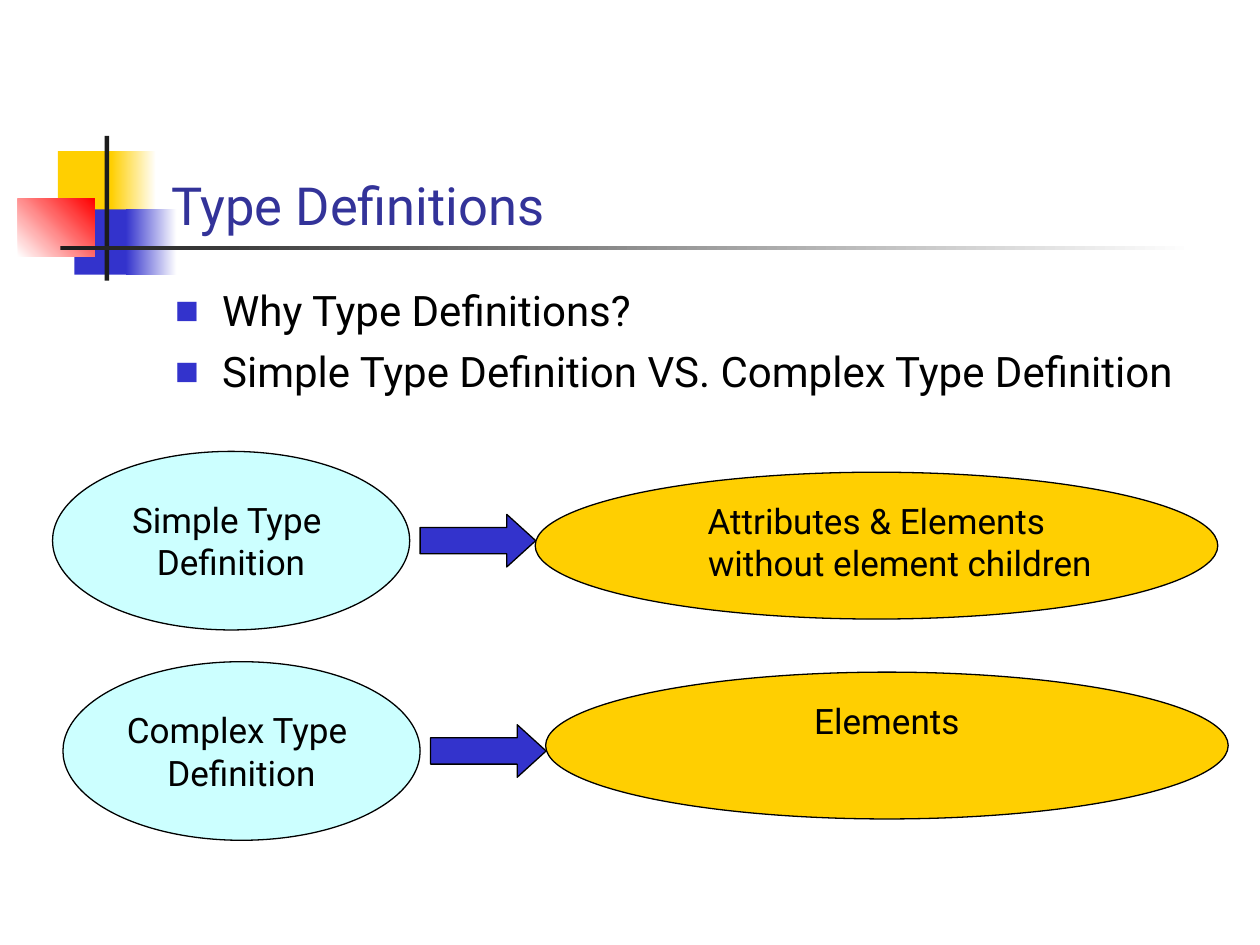
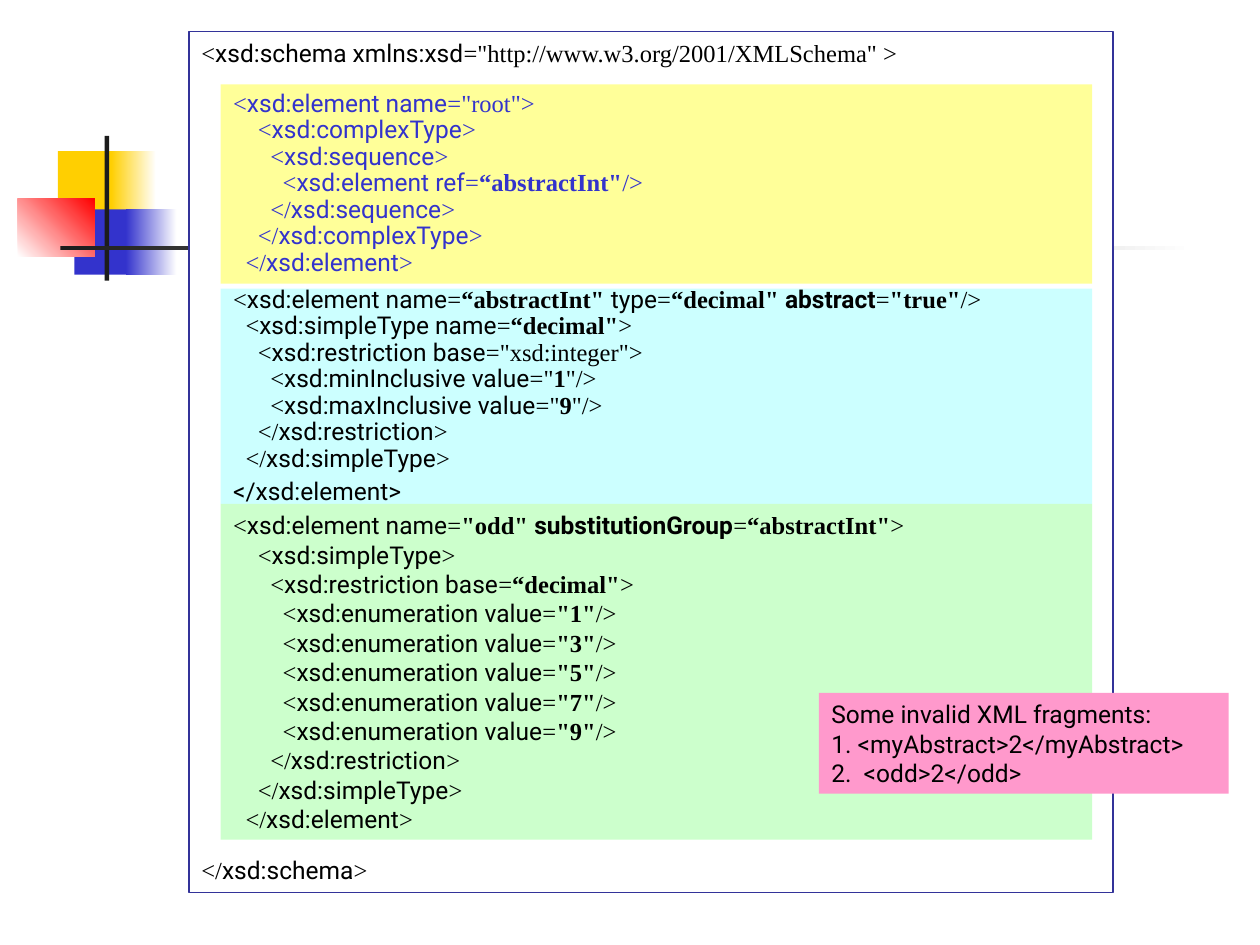
from lxml.etree import SubElement as Sub
from pptx import Presentation
from pptx.dml.color import RGBColor as RGB
from pptx.enum.shapes import MSO_SHAPE as Kind
from pptx.enum.text import MSO_ANCHOR as Anchor, PP_ALIGN as Align
from pptx.oxml.ns import qn
from pptx.util import Cm, Pt

WHITE = RGB(0xFF, 0xFF, 0xFF)
BLACK = RGB(0x00, 0x00, 0x00)
INK = RGB(0x1C, 0x1C, 0x1C)
NAVY = RGB(0x33, 0x33, 0x99)
BLUE = RGB(0x33, 0x33, 0xCC)
GOLD = RGB(0xFF, 0xCF, 0x01)
RED = RGB(0xFF, 0x00, 0x00)
AQUA = RGB(0xCC, 0xFF, 0xFF)
CREAM = RGB(0xFF, 0xFF, 0x99)
MINT = RGB(0xCC, 0xFF, 0xCC)
PINK = RGB(0xFF, 0x99, 0xCC)

SANS, SERIF = "Roboto", "Times New Roman"
HANG = Cm(0.95)
STEP = 0.25  # indent of one code level

# Code lines: (level, text); ` toggles the sans font, * toggles bold
OUTER = [
    (0, '<`xsd:schema xmlns:xsd`="http://www.w3.org/2001/XMLSchema" >'),
    (0, "</`xsd:schema`>"),
]
ROOT = [
    (0, '<`xsd:element name`="root">'),
    (2, "<`xsd:complexType`>"),
    (3, "<`xsd:sequence`>"),
    (4, '<`xsd:element ref`=*“abstractInt"*/>'),
    (3, "</`xsd:sequence`>"),
    (2, "</`xsd:complexType`>"),
    (1, "</`xsd:element`>"),
]
BASE = [
    (0, '<`xsd:element name`=*“abstractInt" *`type`=*“decimal" *`*abstract*`=*"true"*/>'),
    (1, '<`xsd:simpleType name`=*“decimal"*>'),
    (2, '<`xsd:restriction base`="xsd:integer">'),
    (3, '<`xsd:minInclusive value`="*1*"/>'),
    (3, '<`xsd:maxInclusive value`="*9*"/>'),
    (2, "</`xsd:restriction`>"),
    (1, "</`xsd:simpleType`>"),
    (0, "`</xsd:element>`"),
]
ODD = [
    (0, '<`xsd:element name`=*"odd" *`*substitutionGroup*`=*“abstractInt"*>'),
    (2, "<`xsd:simpleType`>"),
    (3, '<`xsd:restriction base`=*“decimal"*>'),
    *[(4, f'<`xsd:enumeration value`=*"{n}"*/>') for n in range(1, 10, 2)],
    (3, "</`xsd:restriction`>"),
    (2, "</`xsd:simpleType`>"),
    (1, "</`xsd:element`>"),
]


# Shared helpers
def add_form(slide, kind, box, fill, line=None):
    form = slide.shapes.add_shape(kind, *map(Cm, box))
    form.shadow.inherit = False
    form.fill.solid()
    form.fill.fore_color.rgb = fill
    if line is None:
        form.line.fill.background()
    else:
        form.line.color.rgb = line
        form.line.width = Pt(0.75)
    return form


def add_fade(slide, box, start, end, angle=0):
    fill = add_form(slide, Kind.RECTANGLE, box, start).fill
    fill.gradient()
    fill.gradient_angle = angle
    for stop, tone in zip(fill.gradient_stops, (start, end)):
        stop.color.rgb = tone


def style(run, size, tone=BLACK, face=SANS, bold=False):
    font = run.font
    font.size, font.name, font.bold = Pt(size), face, bold
    font.color.rgb = tone


def write(shape, text, size, tone=BLACK, align=Align.LEFT,
          anchor=Anchor.TOP, wrap=True):
    frame = shape.text_frame
    frame.word_wrap, frame.vertical_anchor = wrap, anchor
    frame.text = text
    for para in frame.paragraphs:
        para.alignment = align
        for run in para.runs:
            style(run, size, tone)
    return frame.paragraphs


def hang(para):
    props = para._p.get_or_add_pPr()
    props.set("marL", str(HANG))
    props.set("indent", str(-HANG))
    return props


def write_code(shape, lines, tone=BLACK, anchor=Anchor.TOP, pitch=None):
    frame = shape.text_frame
    frame.word_wrap, frame.vertical_anchor = True, anchor
    for i, (level, text) in enumerate(lines):
        para = frame.add_paragraph() if i else frame.paragraphs[0]
        para.alignment = Align.LEFT
        para.line_spacing = pitch
        para.space_before = Pt(0 if level else 3.5)
        para._p.get_or_add_pPr().set("marL", str(Cm(level * STEP)))
        for j, part in enumerate(text.split("`")):
            for k, bit in enumerate(part.split("*")):
                if bit:
                    run = para.add_run()
                    run.text = bit
                    style(run, 14, tone, SANS if j % 2 else SERIF, k % 2 == 1)
    return frame.paragraphs


# Corner squares and crossing bars, on every slide
def add_motif(slide, left, top):
    def at(x, y, w, h):
        return left + x, top + y, w, h

    add_form(slide, Kind.RECTANGLE, at(0.81, 0.31, 1.22, 1.32), GOLD)
    add_fade(slide, at(1.88, 0.31, 0.91, 1.32), GOLD, WHITE)
    add_form(slide, Kind.RECTANGLE, at(1.14, 1.48, 1.17, 1.32), BLUE)
    add_fade(slide, at(2.18, 1.48, 1.02, 1.32), BLUE, WHITE)
    add_fade(slide, at(0, 1.27, 1.55, 1.17), WHITE, RED, 45)
    add_form(slide, Kind.RECTANGLE, at(1.75, 0, 0.09, 2.92), INK)
    add_fade(slide, at(0.86, 2.21, 22.86, 0.09), INK, WHITE)


def add_title(slide, box, text):
    area = slide.shapes.add_textbox(*map(Cm, box))
    write(area, text, 30, NAVY, anchor=Anchor.BOTTOM)


def add_list(slide, box, items):
    area = slide.shapes.add_textbox(*map(Cm, box))
    for para in write(area, "\n".join(items), 24):
        para.space_before = Pt(6)
        props = hang(para)
        Sub(Sub(props, qn("a:buClr")), qn("a:srgbClr"), val=str(BLUE))
        Sub(props, qn("a:buSzPct"), val="60000")
        Sub(props, qn("a:buFont"), typeface=SANS)
        Sub(props, qn("a:buChar"), char="■")


# One row: kind of definition, arrow, what it applies to
def add_row(slide, left, top, drop, name, use):
    oval = add_form(slide, Kind.OVAL, (left, top, 7.2, 3.6), AQUA, BLACK)
    write(oval, name, 20, align=Align.CENTER, anchor=Anchor.MIDDLE, wrap=False)
    goal = add_form(slide, Kind.OVAL, (left + 9.73, top + drop, 13.76, 2.96),
                    GOLD, BLACK)
    hang(write(goal, use, 20, align=Align.CENTER)[0])
    arrow = add_form(slide, Kind.RIGHT_ARROW,
                     (left + 7.41, top + 1.27, 2.33, 1.06), BLUE, BLACK)
    arrow.adjustments[1] = 0.55


# Framed schema with one coloured band per part
def add_schema(slide, left, top, width, height):
    frame = add_form(slide, Kind.RECTANGLE, (left, top, width, height),
                     WHITE, NAVY)
    write_code(frame, OUTER)[-1].space_before = Pt(450)
    bands = [
        (1.06, 4.02, CREAM, ROOT, BLUE, Anchor.MIDDLE, 0.9),
        (5.18, 4.34, AQUA, BASE, BLACK, Anchor.MIDDLE, 0.9),
        (9.52, 6.77, MINT, ODD, BLACK, Anchor.TOP, None),
    ]
    for y, tall, fill, lines, tone, anchor, pitch in bands:
        band = add_form(slide, Kind.RECTANGLE,
                        (left + 0.64, top + y, 17.57, tall), fill)
        write_code(band, lines, tone, anchor, pitch)


def add_note(slide, box, lines):
    write(add_form(slide, Kind.RECTANGLE, box, PINK), "\n".join(lines), 14)


def add_page(deck):
    slide = deck.slides.add_slide(deck.slide_layouts[6])
    add_motif(slide, 0.36, 2.74)
    return slide


def main():
    deck = Presentation()
    deck.slide_width, deck.slide_height = Cm(25.4), Cm(19.05)

    # Type definitions
    page = add_page(deck)
    add_title(page, (3.2, 1.7, 21.64, 3.18), "Type Definitions")
    add_list(page, (3.28, 5.61, 21.59, 11.43), [
        "Why Type Definitions?",
        "Simple Type Definition VS. Complex Type Definition",
    ])
    add_row(page, 1.06, 9.1, 0.42, "Simple Type \nDefinition",
            "Attributes & Elements without element children")
    add_row(page, 1.27, 13.34, 0.21, "Complex Type \nDefinition", "Elements")

    # Schema example
    page = add_page(deck)
    add_schema(page, 3.81, 0.64, 18.63, 17.36)
    add_note(page, (16.51, 13.97, 8.26, 2.03), [
        "Some invalid XML fragments:",
        "1. <myAbstract>2</myAbstract>",
        "2.  <odd>2</odd>",
    ])
    deck.save("out.pptx")


if __name__ == "__main__":
    main()
